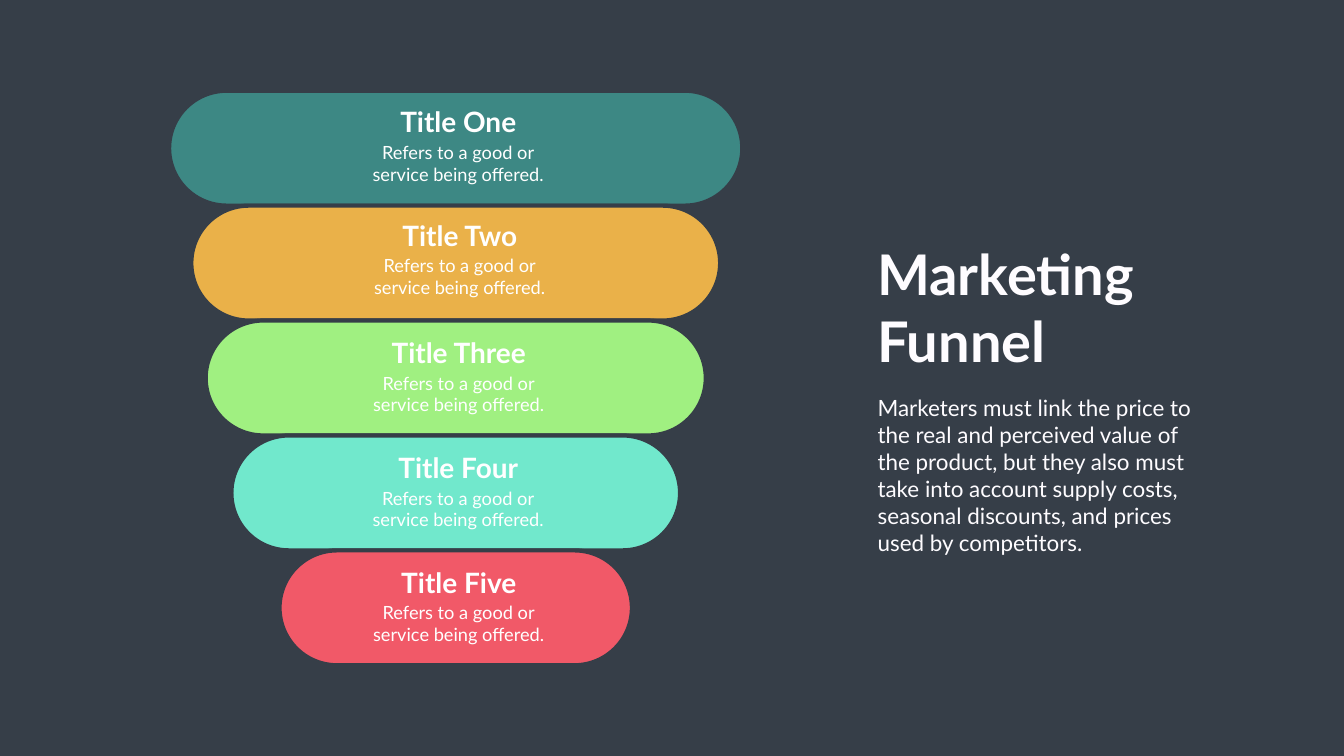
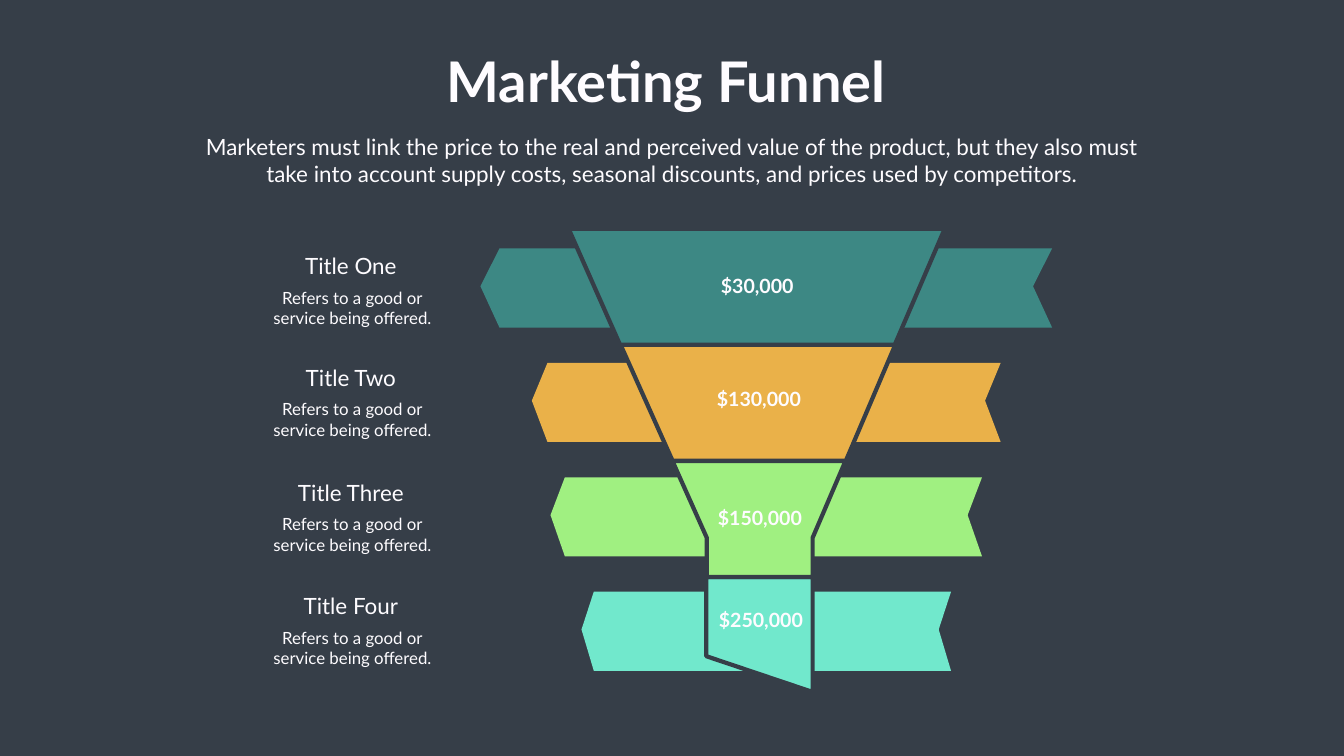
from pptx import Presentation
from pptx import util as u
from pptx.dml.color import RGBColor
from pptx.enum import shapes, text

FONT = "Lato"
SLATE = RGBColor(0x36, 0x3E, 0x48)
OFF_WHITE = RGBColor(0xFE, 0xFC, 0xFF)
WHITE = RGBColor(0xFF, 0xFF, 0xFF)
TEAL = RGBColor(0x3D, 0x88, 0x84)
AMBER = RGBColor(0xEA, 0xB1, 0x49)
GREEN = RGBColor(0xA0, 0xF0, 0x81)
MINT = RGBColor(0x71, 0xE8, 0xCC)
CORAL = RGBColor(0xF1, 0x59, 0x68)

TITLE = "Marketing Funnel"
INTRO = ("Marketers must link the price to the real and perceived value of the "
         "product, but they also must take into account supply costs, seasonal "
         "discounts, and prices used by competitors.")
DETAIL = "Refers to a good or\nservice being offered."
LEFT, CENTER = text.PP_ALIGN.LEFT, text.PP_ALIGN.CENTER

PILL_TOP, PILL_STEP, PILL_CENTER = 1.8, 2.28, 9.04
PILLS = [
    ("Title One", TEAL, 11.37, 9.09, 2.03, 2.54),
    ("Title Two", AMBER, 10.49, 9.12, 4.28, 2.58),
    ("Title Three", GREEN, 9.92, 9.1, 6.61, 2.93),
    ("Title Four", MINT, 8.9, 9.09, 8.89, 2.63),
    ("Title Five", CORAL, 6.99, 9.1, 11.17, 2.52),
]

RIBBON_TOP, RIBBON_STEP, RIBBON_CENTER, RIBBON_HEIGHT = 4.93, 2.27, 15.2, 1.57
RIBBONS = [
    ("Title One", TEAL, 11.34, 4.95, 2.07),
    ("Title Two", AMBER, 9.3, 7.17, 2.06),
    ("Title Three", GREEN, 8.56, 9.45, 2.34),
    ("Title Four", MINT, 7.33, 11.7, 2.11),
]
STAGES = [
    (MINT, [(14.01, 11.45), (16.12, 11.45), (16.12, 13.73), (14.01, 13.02)]),
    (GREEN, [(13.34, 9.15), (16.77, 9.15), (16.12, 10.67), (16.12, 11.45),
             (14.02, 11.45), (14.02, 10.67)]),
    (AMBER, [(12.31, 6.84), (17.76, 6.84), (16.78, 9.14), (13.34, 9.14)]),
    (TEAL, [(11.28, 4.54), (18.74, 4.54), (17.75, 6.84), (12.3, 6.84)]),
]
AMOUNTS = [
    ("$30,000", 14.2, 5.38, 1.66),
    ("$130,000", 14.12, 7.63, 1.89),
    ("$150,000", 14.14, 9.99, 1.89),
    ("$250,000", 14.16, 12.02, 1.89),
]


def write(sp, words, size, color, bold, align, wrap):
    tf = sp.text_frame
    tf.text = words
    tf.word_wrap = wrap
    tf.auto_size = text.MSO_AUTO_SIZE.SHAPE_TO_FIT_TEXT
    tf.vertical_anchor = text.MSO_ANCHOR.TOP
    for p in tf.paragraphs:
        p.alignment = align
        for r in p.runs:
            r.font.name = FONT
            r.font.size = u.Pt(size)
            r.font.bold = bold
            r.font.color.rgb = color


def add_text(s, words, left, top, width, height, size, color=OFF_WHITE,
             bold=False, align=LEFT, wrap=False):
    sp = s.shapes.add_textbox(*map(u.Inches, (left, top, width, height)))
    write(sp, words, size, color, bold, align, wrap)


def add_titled_slide(prs, left, top, width, height, align, wrap):
    s = prs.slides.add_slide(prs.slide_layouts[5])
    sp = s.shapes.title
    sp.left, sp.top, sp.width, sp.height = map(u.Inches, (left, top, width, height))
    write(sp, TITLE, 80, OFF_WHITE, True, align, wrap)
    return s


def add_caption(s, heading, center, top, width, heading_size, heading_height,
                detail_size, detail_box, color, bold):
    add_text(s, heading, center - width / 2, top, width, heading_height,
             heading_size, color, bold, CENTER)
    gap, detail_center, detail_width, detail_height = detail_box
    add_text(s, DETAIL, detail_center - detail_width / 2, top + gap,
             detail_width, detail_height, detail_size, color, align=CENTER)


def paint(sp, color, outlined):
    sp.shadow.inherit = False
    sp.fill.solid()
    sp.fill.fore_color.rgb = color
    if outlined:
        sp.line.color.rgb = SLATE
        sp.line.width = u.Pt(6)
    else:
        sp.line.fill.background()


def add_pill(s, top, width, color):
    sp = s.shapes.add_shape(
        shapes.MSO_SHAPE.ROUNDED_RECTANGLE, u.Inches(PILL_CENTER - width / 2),
        u.Inches(top), u.Inches(width), u.Inches(PILL_STEP))
    sp.adjustments[0] = 0.5
    paint(sp, color, True)


def add_polygon(s, points, color, outlined=False):
    corners = [(u.Inches(x), u.Inches(y)) for x, y in points]
    builder = s.shapes.build_freeform(*corners[0])
    builder.add_line_segments(corners[1:], close=True)
    paint(builder.convert_to_shape(), color, outlined)


def add_ribbon(s, top, width, color):
    left, right = RIBBON_CENTER - width / 2, RIBBON_CENTER + width / 2
    notch, bottom, middle = width / 30, top + RIBBON_HEIGHT, top + 0.75
    add_polygon(s, [(left + notch, top), (right, top), (right - notch, middle),
                    (right, bottom), (left + notch, bottom), (left, middle)], color)


def build_pill_slide(prs):
    s = add_titled_slide(prs, 17.3, 4.7, 5.57, 2.79, LEFT, True)
    for i, (_, color, width, *_) in enumerate(PILLS):
        add_pill(s, PILL_TOP + i * PILL_STEP, width, color)
    add_text(s, INTRO, 17.31, 7.78, 6.63, 3.33, 32, wrap=True)
    for heading, _, _, center, top, width in PILLS:
        add_caption(s, heading, center, top, width, 40, 0.77, 26,
                    (0.72, center, 3.66, 0.98), WHITE, True)


def build_funnel_slide(prs):
    s = add_titled_slide(prs, 8.65, 0.87, 9.13, 1.45, CENTER, False)
    add_text(s, INTRO, 3.79, 2.6, 19.08, 1.18, 32, align=CENTER, wrap=True)
    for i, (heading, color, width, top, heading_width) in enumerate(RIBBONS):
        add_ribbon(s, RIBBON_TOP + i * RIBBON_STEP, width, color)
        add_caption(s, heading, 6.96, top, heading_width, 32, 0.64, 24,
                    (0.7, 6.99, 3.39, 0.91), OFF_WHITE, False)
    for color, points in STAGES:
        add_polygon(s, points, color, outlined=True)
    for amount, left, top, width in AMOUNTS:
        add_text(s, amount, left, top, width, 0.57, 28, bold=True)


def main():
    prs = Presentation()
    prs.slide_width, prs.slide_height = u.Inches(26.66), u.Inches(15)
    background = prs.slide_master.background.fill
    background.solid()
    background.fore_color.rgb = SLATE
    build_pill_slide(prs)
    build_funnel_slide(prs)
    prs.save("out.pptx")


if __name__ == "__main__":
    main()
